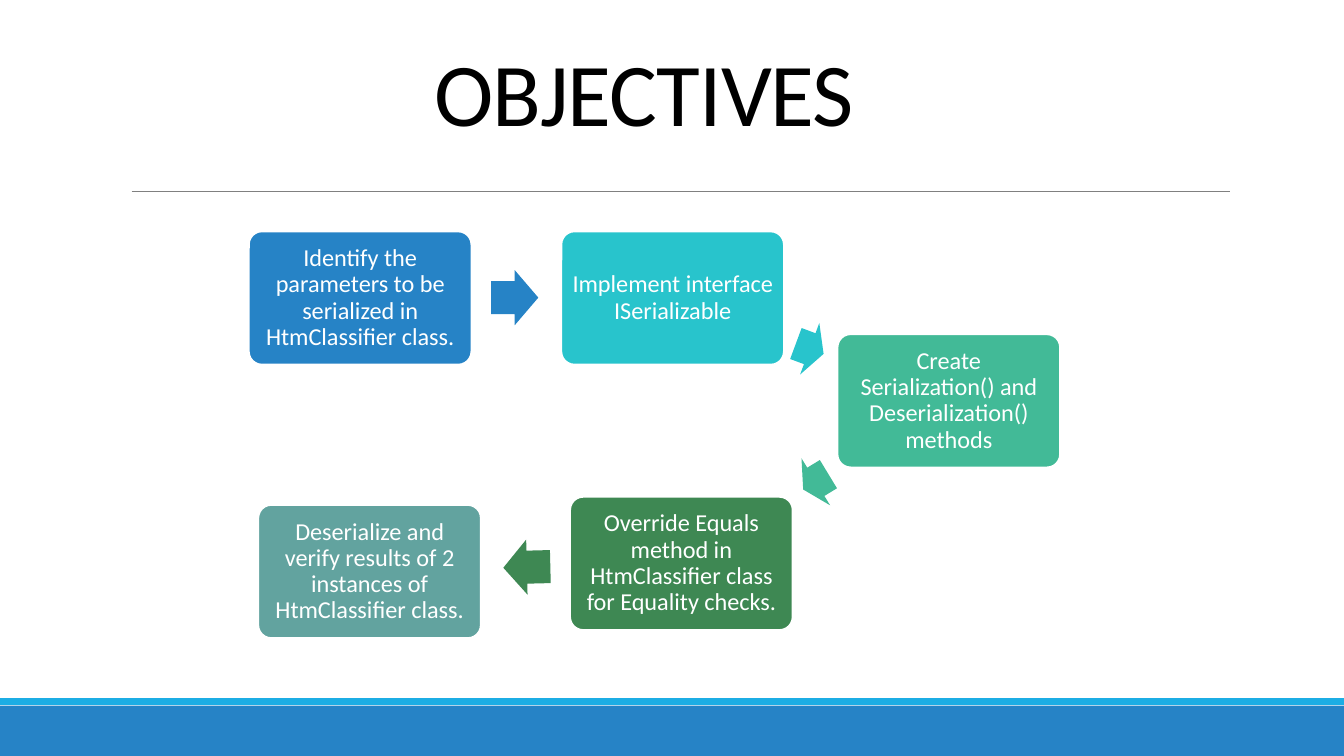
import pptx
import pptx.util
import pptx.dml.color
import pptx.enum.shapes
import pptx.enum.text
import pptx.oxml.ns
from lxml import etree

PX = 4572  # EMU in one px, 200 px to the inch
FONT = "Calibri"
KIND = pptx.enum.shapes.MSO_SHAPE
ALIGN = pptx.enum.text.PP_ALIGN
WIDE, HIGH = 2000, 1125
STEP_W, STEP_H = 332, 199
HEAD_H = 82

# left, top, fill, text
STEPS = [
    (370, 344, "2683C6", "Identify the parameters to be serialized in HtmClassifier class."),
    (835, 344, "28C4CC", "Implement interface ISerializable"),
    (1246, 497, "42BA97", "Create Serialization() and Deserialization() methods"),
    (848, 739, "3E8853", "Override Equals method in HtmClassifier class for Equality checks."),
    (384, 751, "62A39F", "Deserialize and verify results of 2 instances of HtmClassifier class."),
]
# left, top, width, turn; each takes the colour of the step it leaves
ARROWS = [
    (731, 402, 70, 0),
    (1183, 478, 44, 20.4),
    (1192, 676, 44, 148.7),
    (749, 803, 70, 178.6),
]


def px(num):
    return pptx.util.Emu(num * PX)


def color(code):
    return pptx.dml.color.RGBColor.from_string(code)


def write(shape, text, size, fill, align, lines, inset=None, track=None):
    frame = shape.text_frame
    frame.word_wrap = True
    frame.auto_size = pptx.enum.text.MSO_AUTO_SIZE.NONE
    frame.vertical_anchor = pptx.enum.text.MSO_ANCHOR.MIDDLE
    if inset is not None:
        frame.margin_left = frame.margin_right = px(inset)
        frame.margin_top = frame.margin_bottom = px(inset)
    para = frame.paragraphs[0]
    para.alignment = align
    para.line_spacing = lines
    run = para.add_run()
    run.text = text
    run.font.size = pptx.util.Pt(size)
    run.font.name = FONT
    run.font.color.rgb = color(fill)
    if track is not None:
        run.font._element.set("spc", str(track))


def block(slide, kind, left, top, width, height, fill, edge=None, adjust=(), turn=0):
    shape = slide.shapes.add_shape(kind, px(left), px(top), px(width), px(height))
    shape.shadow.inherit = False
    shape.fill.solid()
    shape.fill.fore_color.rgb = color(fill)
    if edge:
        shape.line.color.rgb = color(edge)
        shape.line.width = pptx.util.Pt(1.25)
    else:
        shape.line.fill.background()
    for spot, value in enumerate(adjust):
        shape.adjustments[spot] = value
    shape.rotation = turn
    return shape


def rule(slide, left, right, top):
    line = slide.shapes.add_connector(
        pptx.enum.shapes.MSO_CONNECTOR.STRAIGHT, px(left), px(top), px(right), px(top))
    line.line.color.rgb = color("808080")
    line.line.width = pptx.util.Pt(0.5)
    etree.SubElement(line._element.spPr, pptx.oxml.ns.qn("a:effectLst"))


def title(slide, text):
    shape = slide.shapes.title
    shape.left, shape.top, shape.width, shape.height = map(px, (626, 18, 666, 258))
    write(shape, text, size=48, fill="000000", align=ALIGN.LEFT, lines=0.85, track=-50)


def step(slide, left, top, fill, text):
    shape = block(slide, KIND.ROUNDED_RECTANGLE, left, top, STEP_W, STEP_H, fill,
                  edge="FFFFFF", adjust=(0.1,))
    # The rounded corner itself adds 6 px to the inset
    write(shape, text, size=13, fill="FFFFFF", align=ALIGN.CENTER, lines=0.9, inset=10)


def arrow(slide, left, top, width, turn, fill):
    block(slide, KIND.RIGHT_ARROW, left, top, width, HEAD_H, fill,
          adjust=(0.6, 0.5), turn=turn)


def main():
    deck = pptx.Presentation()
    deck.slide_width, deck.slide_height = px(WIDE), px(HIGH)
    slide = deck.slides.add_slide(deck.slide_layouts[5])

    # Footer bands and header rule
    block(slide, KIND.RECTANGLE, 0, 1050, WIDE, 75, "2683C6")
    block(slide, KIND.RECTANGLE, 0, 1039, WIDE, 10, "1CADE4")
    rule(slide, 196, 1830, 285)
    title(slide, "OBJECTIVES")

    # Bending chain of steps
    for item in STEPS:
        step(slide, *item)
    for place, item in zip(ARROWS, STEPS):
        arrow(slide, *place, fill=item[2])

    deck.save("out.pptx")


if __name__ == "__main__":
    main()
